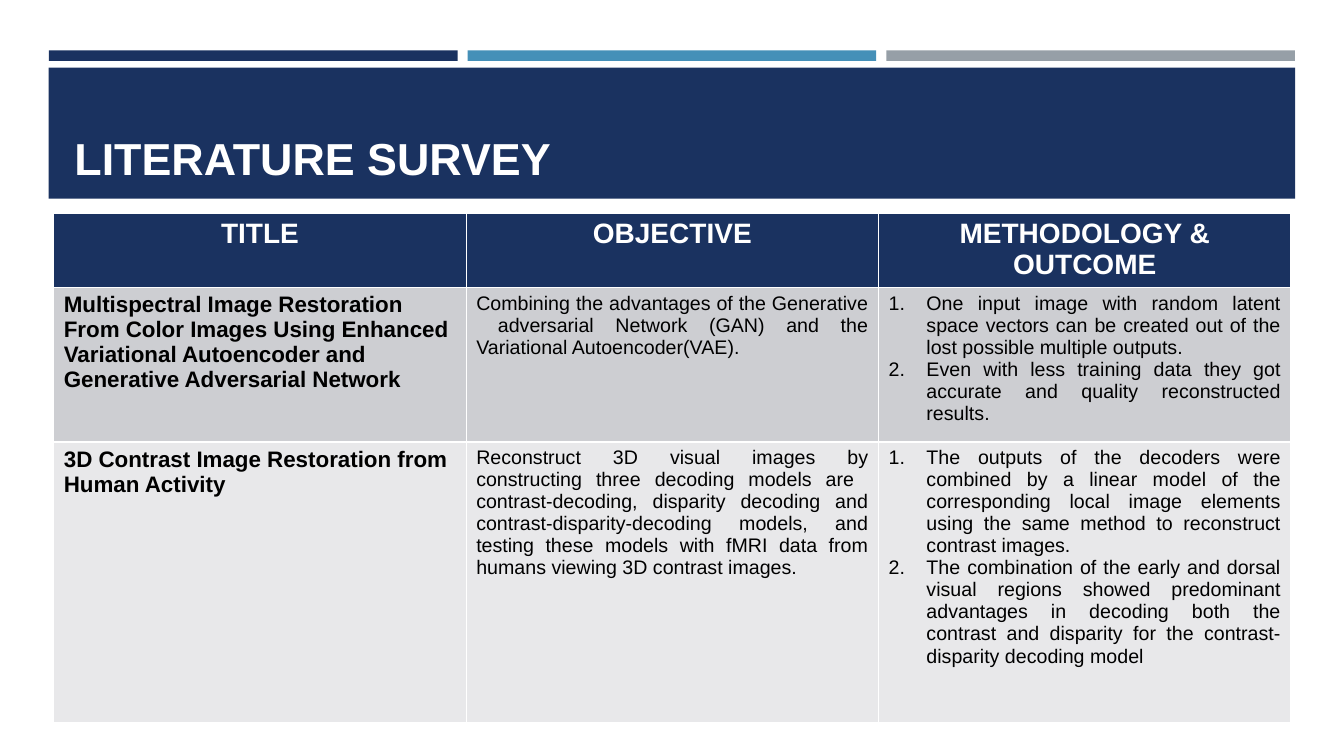
from lxml.etree import SubElement
from pptx import Presentation
from pptx.dml.color import RGBColor
from pptx.enum.shapes import MSO_SHAPE
from pptx.enum.text import MSO_ANCHOR, MSO_AUTO_SIZE, PP_ALIGN
from pptx.oxml.ns import qn
from pptx.util import Pt

HUES = {"navy": "1A3260", "blue": "4590B8", "gray": "969FA7", "dark": "CDCED2",
        "light": "E8E8EA", "white": "FFFFFF", "black": "000000"}
FONT = "Arial"
HEADS = ["TITLE", "OBJECTIVE", "METHODOLOGY & OUTCOME"]
PAPERS = [
    ("Multispectral Image Restoration From Color Images Using Enhanced Variational "
     "Autoencoder and Generative Adversarial Network",
     "Combining the advantages of the Generative  adversarial Network (GAN) and the "
     "Variational Autoencoder(VAE).",
     ["One input image with random latent space vectors can be created out of the "
      "lost possible multiple outputs.",
      "Even with less training data they got accurate and quality reconstructed "
      "results."]),
    ("3D Contrast Image Restoration from Human Activity",
     "Reconstruct 3D visual images by constructing three decoding models are  "
     "contrast-decoding, disparity decoding and contrast-disparity-decoding models, "
     "and testing these models with fMRI data from humans viewing 3D contrast images.",
     ["The outputs of the decoders were combined by a linear model of the "
      "corresponding local image elements using the same method to reconstruct "
      "contrast images.",
      "The combination of the early and dorsal visual regions showed predominant "
      "advantages in decoding both the contrast and disparity for the "
      "contrast-disparity decoding model"]),
]


def tint(name):
    """Return the named colour."""
    return RGBColor.from_string(HUES[name])


def write(para, text, size, hue, bold, align):
    """Add one styled run to a paragraph."""
    para.alignment = align
    run = para.add_run()
    run.text = text
    font = run.font
    font.name, font.size, font.bold = FONT, Pt(size), bold
    font.color.rgb = tint(hue)


def number(para, indent):
    """Give a paragraph an automatic number and a hanging indent."""
    props = para._p.get_or_add_pPr()
    props.set("marL", str(Pt(indent)))
    props.set("indent", str(Pt(-indent)))
    SubElement(props, qn("a:buFont"), typeface="+mj-lt")
    SubElement(props, qn("a:buAutoNum"), type="arabicPeriod")


def block(slide, left, top, width, height, hue):
    """Draw a plain filled block behind the title."""
    shape = slide.shapes.add_shape(
        MSO_SHAPE.RECTANGLE, Pt(left), Pt(top), Pt(width), Pt(height))
    shape.shadow.inherit = False
    shape.fill.solid()
    shape.fill.fore_color.rgb = tint(hue)
    shape.line.fill.background()
    slide.shapes.title.element.addprevious(shape.element)


def stripes(slide, left, top, width, height, gap=7.2):
    """Draw three equal stripes across the box."""
    hues = ["navy", "blue", "gray"]
    part = (width - gap * (len(hues) - 1)) / len(hues)
    for i, hue in enumerate(hues):
        block(slide, left + i * (part + gap), top, part, height, hue)


def banner(slide, left, top, width, height, text):
    """Draw the title banner and fit the title inside it."""
    block(slide, left, top, width, height, "navy")
    title = slide.shapes.title
    title.left, title.top = Pt(left + 11.2), Pt(top + 7)
    title.width, title.height = Pt(width - 22.4), Pt(height - 13.6)
    frame = title.text_frame
    frame.word_wrap = True
    frame.auto_size = MSO_AUTO_SIZE.NONE
    frame.vertical_anchor = MSO_ANCHOR.BOTTOM
    write(frame.paragraphs[0], text, 32, "white", True, PP_ALIGN.LEFT)


def survey(slide, left, top, width, heights):
    """Build the table of surveyed papers."""
    table = slide.shapes.add_table(
        len(PAPERS) + 1, len(HEADS), Pt(left), Pt(top), Pt(width),
        Pt(sum(heights))).table
    for col in table.columns:
        col.width = Pt(width / len(HEADS))
    for row, height in zip(table.rows, heights):
        row.height = Pt(height)
    for i, hue in enumerate(["navy", "dark", "light"]):
        for cell in table.rows[i].cells:
            cell.fill.solid()
            cell.fill.fore_color.rgb = tint(hue)
    for i, head in enumerate(HEADS):
        para = table.cell(0, i).text_frame.paragraphs[0]
        write(para, head, 20, "white", True, PP_ALIGN.CENTER)
    for i, (name, goal, steps) in enumerate(PAPERS, 1):
        first, second, third = [table.cell(i, j).text_frame for j in range(3)]
        write(first.paragraphs[0], name, 16, "black", True, PP_ALIGN.LEFT)
        write(second.paragraphs[0], goal, 14, "black", False, PP_ALIGN.JUSTIFY)
        for j, step in enumerate(steps):
            para = third.add_paragraph() if j else third.paragraphs[0]
            write(para, step, 14, "black", False, PP_ALIGN.JUSTIFY)
            number(para, 27)


def main():
    """Build and save the slide."""
    deck = Presentation()
    deck.slide_width, deck.slide_height = Pt(960), Pt(540)
    slide = deck.slides.add_slide(deck.slide_layouts[5])
    stripes(slide, 35, 36, 890, 7.5)
    banner(slide, 34.8, 48.4, 890.4, 93.6, "LITERATURE SURVEY")
    survey(slide, 38.4, 152.2, 883.8, [53.3, 110.2, 200.2])
    deck.save("out.pptx")


if __name__ == "__main__":
    main()
